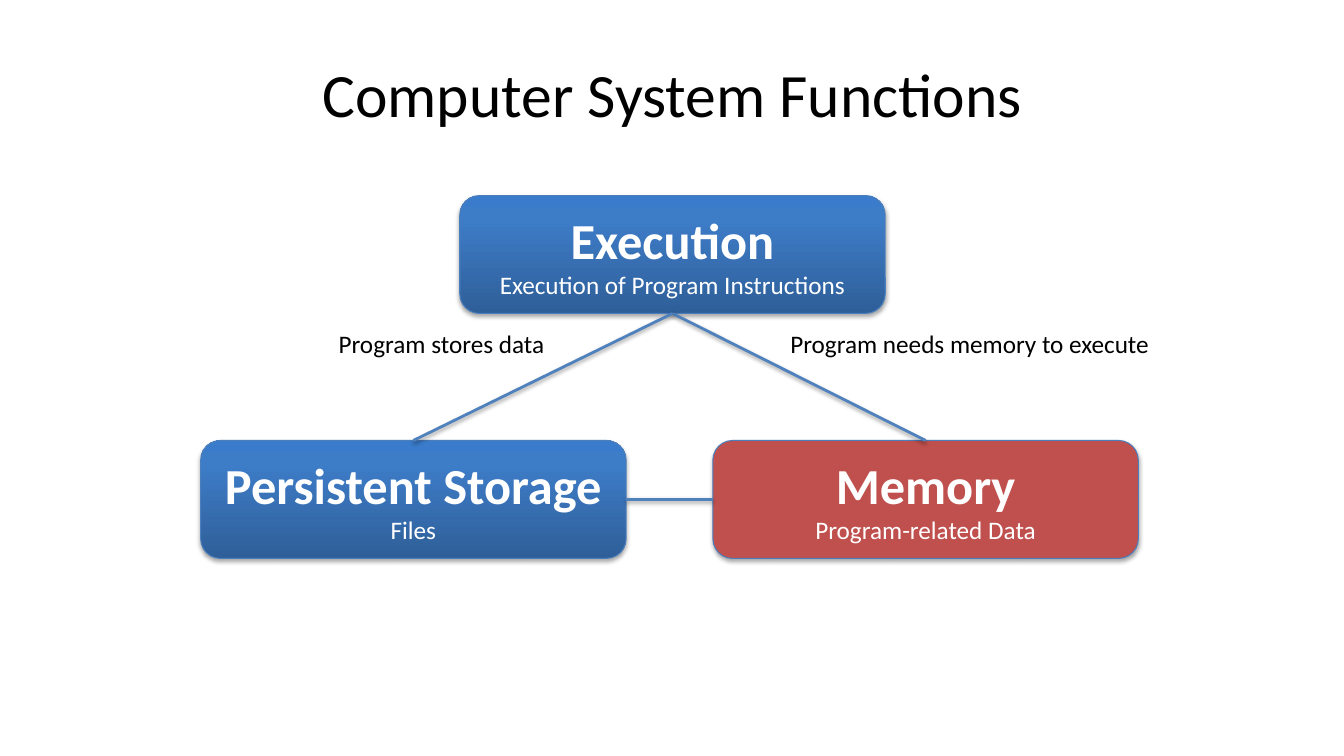
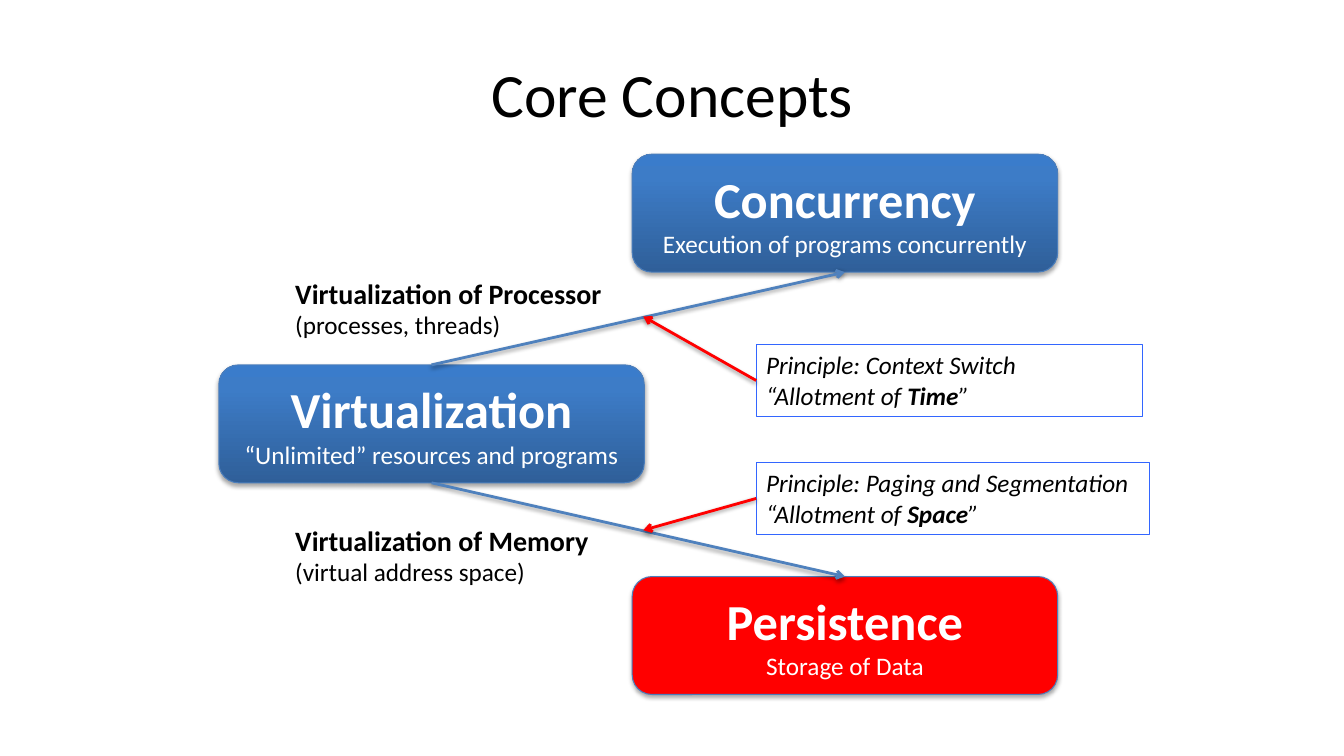
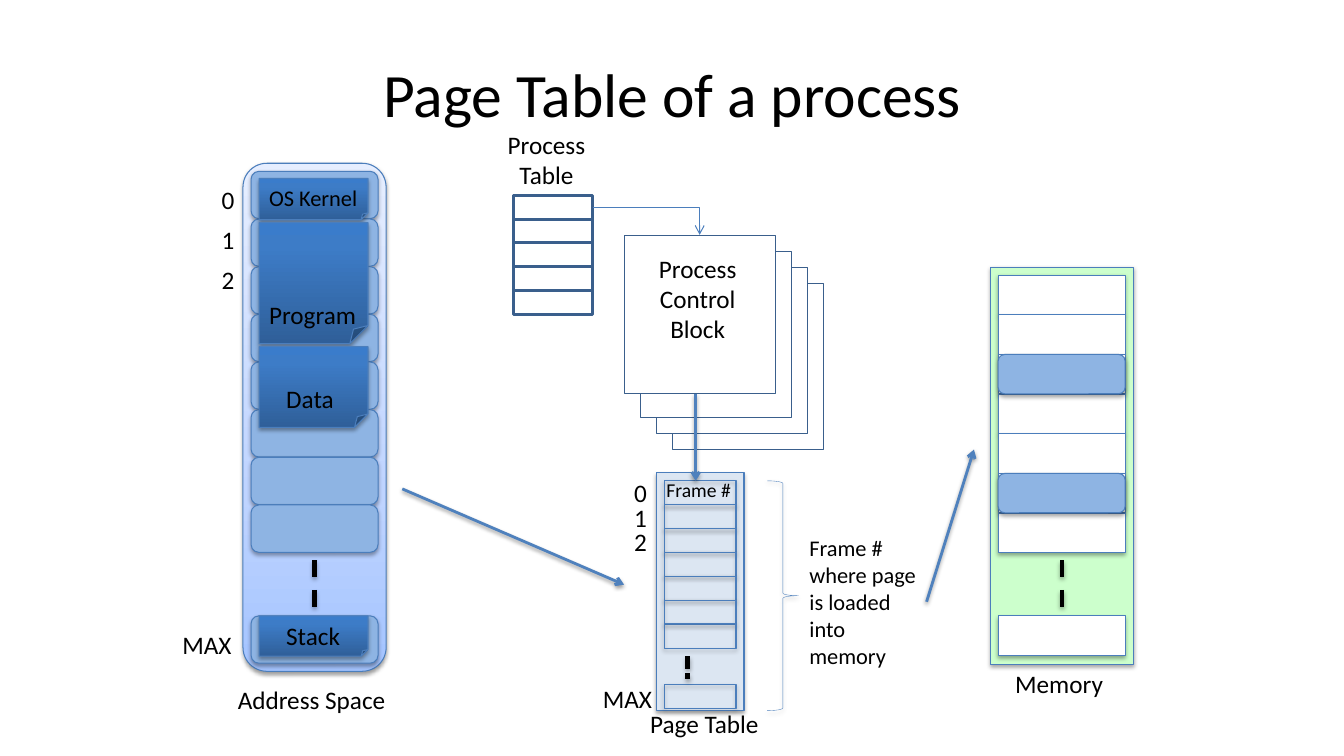
from dataclasses import dataclass
from typing import NamedTuple, Optional

import lxml.etree
import pptx
import pptx.dml.color
import pptx.enum.dml
import pptx.enum.shapes
import pptx.enum.text
import pptx.oxml.ns
import pptx.util

Inches = pptx.util.Inches
Pt = pptx.util.Pt
RGBColor = pptx.dml.color.RGBColor
qn = pptx.oxml.ns.qn
MSO_SHAPE = pptx.enum.shapes.MSO_SHAPE
MSO_CONNECTOR = pptx.enum.shapes.MSO_CONNECTOR
MSO_LINE = pptx.enum.dml.MSO_LINE
PP_ALIGN = pptx.enum.text.PP_ALIGN
MSO_ANCHOR = pptx.enum.text.MSO_ANCHOR
MSO_AUTO_SIZE = pptx.enum.text.MSO_AUTO_SIZE

# Shared colours and styles
FONT = "Calibri"
BLACK = RGBColor(0x00, 0x00, 0x00)
WHITE = RGBColor(0xFF, 0xFF, 0xFF)
RED = RGBColor(0xFF, 0x00, 0x00)
BRICK = RGBColor(0xC0, 0x50, 0x4D)
EDGE = RGBColor(0x4B, 0x7E, 0xBC)
LINK = RGBColor(0x4F, 0x81, 0xBD)
DARK_EDGE = RGBColor(0x3A, 0x5F, 0x8C)
NOTE_EDGE = RGBColor(0x33, 0x66, 0xFF)
PAGE_BLUE = RGBColor(0x8E, 0xB4, 0xE3)
PALE_BLUE = RGBColor(0xDC, 0xE6, 0xF2)
MINT = RGBColor(0xCC, 0xFF, 0xCC)


class Stop(NamedTuple):
    percent: int
    color: RGBColor


class Shadow(NamedTuple):
    alpha: int
    blur: float
    distance: float


class Outline(NamedTuple):
    color: RGBColor
    width: float
    dash: Optional[MSO_LINE] = None


class Box(NamedTuple):
    left: float
    top: float
    width: float
    height: float

    def inches(self) -> list:
        return [Inches(v) for v in self]


class Point(NamedTuple):
    x: float
    y: float


class Joint(NamedTuple):
    shape: object
    side: int


@dataclass
class Para:
    text: str
    size: float = 18
    bold: bool = False
    italic: bool = False
    strong: str = ""


@dataclass
class Card:
    box: Box
    heading: str
    detail: str
    fill: object


@dataclass
class Label:
    box: Box
    paras: list
    align: Optional[PP_ALIGN] = None
    wrap: bool = False
    fill: Optional[RGBColor] = None
    line: Optional[Outline] = None


BLUE_GRADIENT = (Stop(0, RGBColor(0x2F, 0x5F, 0x99)),
                 Stop(80, RGBColor(0x3D, 0x7C, 0xC7)),
                 Stop(100, RGBColor(0x3A, 0x7C, 0xCB)))
LIGHT_GRADIENT = (Stop(0, RGBColor(0xA4, 0xC4, 0xFF)),
                  Stop(35, RGBColor(0xBF, 0xD4, 0xFF)),
                  Stop(100, RGBColor(0xE6, 0xEE, 0xFF)))
BODY_SHADOW = Shadow(35, 3.1, 1.8)
LINE_SHADOW = Shadow(38, 3.1, 1.6)
THIN = Outline(EDGE, 0.75)
THICK = Outline(LINK, 2)
RED_LINE = Outline(RED, 2)
TABLE_LINE = Outline(DARK_EDGE, 2)
BLOCK_LINE = Outline(DARK_EDGE, 0.25)
TOP, LEFT, BOTTOM, RIGHT = range(4)


# Formatting helpers
def set_shadow(shape, shadow: Optional[Shadow]) -> None:
    pr = shape.element.spPr
    effects = pr.find(qn("a:effectLst"))
    if effects is None:
        effects = lxml.etree.SubElement(pr, qn("a:effectLst"))
    if shadow:
        outer = lxml.etree.SubElement(
            effects, qn("a:outerShdw"), blurRad=str(Pt(shadow.blur)),
            dist=str(Pt(shadow.distance)), dir="5400000", rotWithShape="0")
        color = lxml.etree.SubElement(outer, qn("a:srgbClr"), val=str(BLACK))
        lxml.etree.SubElement(color, qn("a:alpha"), val=str(shadow.alpha * 1000))


def set_fill(shape, fill) -> None:
    if fill is None:
        shape.fill.background()
    elif isinstance(fill, RGBColor):
        shape.fill.solid()
        shape.fill.fore_color.rgb = fill
    else:
        shape.fill.gradient()
        shape.fill.gradient_angle = 90
        stops = shape.element.spPr.find(".//" + qn("a:gsLst"))
        for old in list(stops):
            stops.remove(old)
        for stop in fill:
            gs = lxml.etree.SubElement(stops, qn("a:gs"), pos=str(stop.percent * 1000))
            lxml.etree.SubElement(gs, qn("a:srgbClr"), val=str(stop.color))


def set_line(shape, line: Outline) -> None:
    shape.line.color.rgb = line.color
    shape.line.width = Pt(line.width)
    if line.dash:
        shape.line.dash_style = line.dash


def write(tf, paras: list, color: RGBColor = BLACK, align=None) -> None:
    for i, para in enumerate(paras):
        p = tf.add_paragraph() if i else tf.paragraphs[0]
        p.alignment = align
        p.font.name = FONT
        p.font.size = Pt(para.size)
        p.font.bold = para.bold
        p.font.italic = para.italic
        p.font.color.rgb = color
        parts = para.text.partition(para.strong) if para.strong else (para.text,)
        for part in parts:
            r = p.add_run()
            r.text = part
            if part == para.strong:
                r.font.bold = True


# Drawing functions
def add_body(s, kind, box: Box, fill, line: Outline = THIN,
             shadow: Optional[Shadow] = BODY_SHADOW):
    sp = s.shapes.add_shape(kind, *box.inches())
    sp.shadow.inherit = False
    set_fill(sp, fill)
    set_line(sp, line)
    set_shadow(sp, shadow)
    return sp


def add_card(s, card: Card):
    sp = add_body(s, MSO_SHAPE.ROUNDED_RECTANGLE, card.box, card.fill)
    write(sp.text_frame, [Para(card.heading, 36, bold=True), Para(card.detail)],
          WHITE, PP_ALIGN.CENTER)
    return sp


def add_label(s, label: Label):
    sp = s.shapes.add_textbox(*label.box.inches())
    if label.fill:
        set_fill(sp, label.fill)
    if label.line:
        set_line(sp, label.line)
    tf = sp.text_frame
    tf.word_wrap = label.wrap
    tf.auto_size = MSO_AUTO_SIZE.SHAPE_TO_FIT_TEXT
    write(tf, label.paras, align=label.align)
    return sp


def add_link(s, start, end, line: Outline = THICK, arrow: bool = False,
             shadow: Optional[Shadow] = LINE_SHADOW, bent: bool = False):
    kind = MSO_CONNECTOR.ELBOW if bent else MSO_CONNECTOR.STRAIGHT
    ends = [Inches(v) for end_ in (start, end)
            for v in (end_ if isinstance(end_, Point) else Point(0, 0))]
    c = s.shapes.add_connector(kind, *ends)
    if isinstance(start, Joint):
        c.begin_connect(start.shape, start.side)
    if isinstance(end, Joint):
        c.end_connect(end.shape, end.side)
    if bent:
        c.element.spPr.find(qn("a:prstGeom")).set("prst", "bentConnector2")
    set_line(c, line)
    if arrow:
        lxml.etree.SubElement(c.line._get_or_add_ln(), qn("a:tailEnd"), type="arrow")
    set_shadow(c, shadow)
    return c


def add_dashes(s, x: float, top: float, bottom: float, dash) -> None:
    add_link(s, Point(x, top), Point(x, bottom), Outline(BLACK, 3, dash),
             shadow=BODY_SHADOW)


def column_boxes(first: Box, last_top: float, count: int) -> list:
    step = (last_top - first.top) / (count - 1)
    return [first._replace(top=first.top + i * step) for i in range(count)]


def add_slide(prs, title: str):
    s = prs.slides.add_slide(prs.slide_layouts[6])
    tf = s.shapes.add_textbox(*Box(0.67, 0.3, 12, 1.25).inches()).text_frame
    tf.word_wrap = True
    tf.vertical_anchor = MSO_ANCHOR.MIDDLE
    write(tf, [Para(title, 44)], align=PP_ALIGN.CENTER)
    return s


# Slides
def functions_slide(prs) -> None:
    s = add_slide(prs, "Computer System Functions")
    execution, memory, storage = [add_card(s, card) for card in (
        Card(Box(4.56, 1.94, 4.22, 1.17), "Execution",
             "Execution of Program Instructions", BLUE_GRADIENT),
        Card(Box(7.07, 4.37, 4.22, 1.17), "Memory", "Program-related Data", BRICK),
        Card(Box(1.99, 4.37, 4.22, 1.17), "Persistent Storage", "Files", BLUE_GRADIENT),
    )]
    add_link(s, Joint(execution, BOTTOM), Joint(memory, TOP))
    add_link(s, Joint(memory, LEFT), Joint(storage, RIGHT))
    add_link(s, Joint(execution, BOTTOM), Joint(storage, TOP))
    add_label(s, Label(Box(7.74, 3.21, 3.82, 0.4),
                       [Para("Program needs memory to execute")]))
    add_label(s, Label(Box(3.26, 3.21, 2.28, 0.4), [Para("Program stores data")]))


def concepts_slide(prs) -> None:
    s = add_slide(prs, "Core Concepts")
    virtualization, concurrency, persistence = [add_card(s, card) for card in (
        Card(Box(2.17, 3.62, 4.22, 1.17), "Virtualization",
             "“Unlimited” resources and programs", BLUE_GRADIENT),
        Card(Box(6.27, 1.53, 4.22, 1.17), "Concurrency",
             "Execution of programs concurrently", BLUE_GRADIENT),
        Card(Box(6.27, 5.72, 4.22, 1.17), "Persistence", "Storage of Data", RED),
    )]
    add_link(s, Joint(virtualization, TOP), Joint(concurrency, BOTTOM), arrow=True)
    add_link(s, Joint(virtualization, BOTTOM), Joint(persistence, TOP), arrow=True)

    for box, heading, detail in (
            (Box(2.83, 2.69, 3.27, 0.74), "Virtualization of Processor",
             "(processes, threads)"),
            (Box(2.83, 5.14, 3.14, 0.74), "Virtualization of Memory",
             "(virtual address space)")):
        add_label(s, Label(box, [Para(heading, 20, bold=True), Para(detail)]))

    # Principles pointing at the arrows
    for box, principle, resource, wrap, target in (
            (Box(7.5, 3.42, 3.83, 0.71), "Context Switch", "Time", True,
             Point(6.38, 3.14)),
            (Box(7.5, 4.59, 3.9, 0.71), "Paging and Segmentation", "Space", False,
             Point(6.38, 5.26))):
        note = add_label(s, Label(
            box, [Para(f"Principle: {principle}", italic=True),
                  Para(f"“Allotment of {resource}”", italic=True, strong=resource)],
            wrap=wrap, line=Outline(NOTE_EDGE, 0.75)))
        add_link(s, Joint(note, LEFT), target, RED_LINE, arrow=True)


def page_table_slide(prs) -> None:
    s = add_slide(prs, "Page Table of a process")
    rect, rounded = MSO_SHAPE.RECTANGLE, MSO_SHAPE.ROUNDED_RECTANGLE

    # Address space
    add_body(s, rounded, Box(2.41, 1.62, 1.42, 5.04), LIGHT_GRADIENT,
             shadow=LINE_SHADOW)
    page = Box(2.49, 1.7, 1.26, 0.47)
    for box in column_boxes(page, 5.01, 8) + [page._replace(top=6.11)]:
        add_body(s, rounded, box, PAGE_BLUE)
    add_dashes(s, 3.12, 5.56, 6.03, MSO_LINE.DASH)
    for top, height, text_box, text, size in (
            (1.77, 0.41, Box(2.57, 1.78, 1.09, 0.37), "OS Kernel", 16),
            (2.21, 1.2, Box(2.57, 2.92, 1.08, 0.4), "Program", 18),
            (3.44, 0.8, Box(2.74, 3.75, 0.68, 0.4), "Data", 18),
            (6.11, 0.4, Box(2.74, 6.11, 0.75, 0.4), "Stack", 18)):
        add_body(s, MSO_SHAPE.FOLDED_CORNER, Box(2.57, top, 1.08, height),
                 BLUE_GRADIENT)
        add_label(s, Label(text_box, [Para(text, size)]))

    # Process control blocks, back to front
    for i in (3, 2, 1, 0):
        block = add_body(s, rect, Box(6.19 + 0.16 * i, 2.33 + 0.16 * i, 1.5,
                                      1.65 if i else 1.57),
                         WHITE, BLOCK_LINE, None)
    add_label(s, Label(Box(6.43, 2.46, 0.98, 1.01),
                       [Para("Process"), Para("Control"), Para("Block")],
                       PP_ALIGN.CENTER, fill=WHITE))

    # Process table
    rows = [add_body(s, rect, box, WHITE, TABLE_LINE, None)
            for box in column_boxes(Box(5.09, 1.94, 0.79, 0.24), 2.88, 5)]
    add_label(s, Label(Box(4.93, 1.23, 0.98, 0.71), [Para("Process"), Para("Table")],
                       PP_ALIGN.CENTER))
    add_link(s, Joint(rows[0], RIGHT), Joint(block, TOP), THIN, arrow=True,
             shadow=None, bent=True)

    # Memory
    add_body(s, rect, Box(9.82, 2.65, 1.42, 3.94), MINT)
    frame = Box(9.9, 2.73, 1.26, 0.39)
    frames = column_boxes(frame, 5.09, 7)
    for box in frames + [frame._replace(top=6.11)]:
        add_body(s, rect, box, WHITE)
    for i in (2, 5):
        add_body(s, rounded, frames[i], PAGE_BLUE)
    add_dashes(s, 10.53, 5.56, 6.03, MSO_LINE.DASH)

    # Page table
    add_body(s, rect, Box(6.51, 4.69, 0.87, 2.36), PALE_BLUE)
    entry = Box(6.59, 4.77, 0.71, 0.24)
    for box in column_boxes(entry, 6.19, 7) + [entry._replace(top=6.79)]:
        add_body(s, rect, box, None)
    add_dashes(s, 6.82, 6.51, 6.74, MSO_LINE.SQUARE_DOT)
    add_body(s, MSO_SHAPE.RIGHT_BRACE, Box(7.61, 4.77, 0.31, 2.28), None,
             Outline(LINK, 0.25), LINE_SHADOW)

    # Row numbers and captions
    for first, last_top in ((Box(2.1, 1.78, 0.33, 0.4), 2.57),
                            (Box(6.19, 4.69, 0.33, 0.4), 5.17)):
        for number, box in enumerate(column_boxes(first, last_top, 3)):
            add_label(s, Label(box, [Para(str(number))]))
    for box, text, size in (
            (Box(1.71, 6.19, 0.69, 0.4), "MAX", 18),
            (Box(5.88, 6.73, 0.69, 0.4), "MAX", 18),
            (Box(2.26, 6.74, 1.68, 0.4), "Address Space", 18),
            (Box(9.97, 6.58, 1.08, 0.4), "Memory", 18),
            (Box(6.35, 6.98, 1.31, 0.4), "Page Table", 18),
            (Box(6.51, 4.69, 0.85, 0.34), "Frame #", 14)):
        add_label(s, Label(box, [Para(text, size)]))
    add_label(s, Label(Box(7.93, 5.25, 1.26, 1.45),
                       [Para("Frame # where page is loaded into memory", 16)],
                       wrap=True))

    # Flow arrows
    for start, end in ((Point(6.9, 3.91), Point(6.9, 4.77)),
                       (Point(3.99, 4.85), Point(6.19, 5.8)),
                       (Point(9.19, 5.97), Point(9.66, 4.46))):
        add_link(s, start, end, arrow=True)


def main() -> None:
    prs = pptx.Presentation()
    prs.slide_width = Inches(13.33)
    prs.slide_height = Inches(7.5)
    functions_slide(prs)
    concepts_slide(prs)
    page_table_slide(prs)
    prs.save("out.pptx")


if __name__ == "__main__":
    main()
